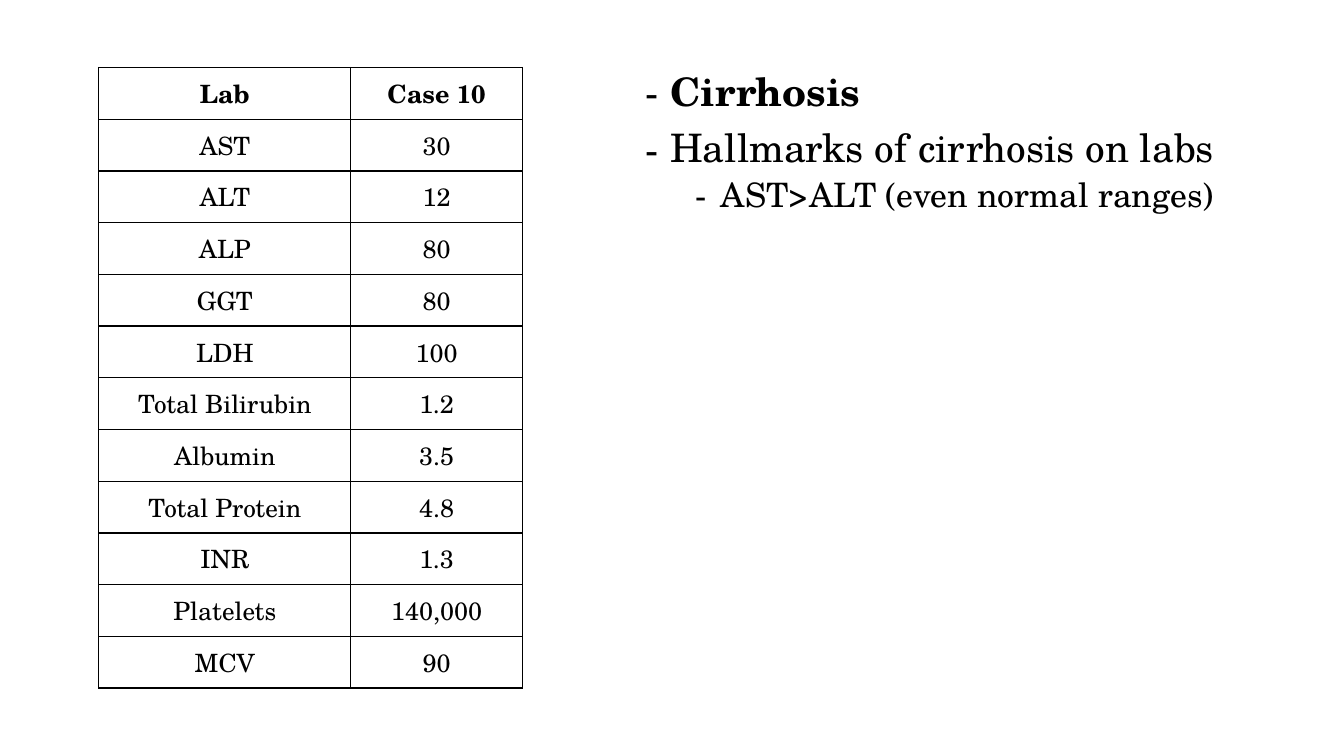
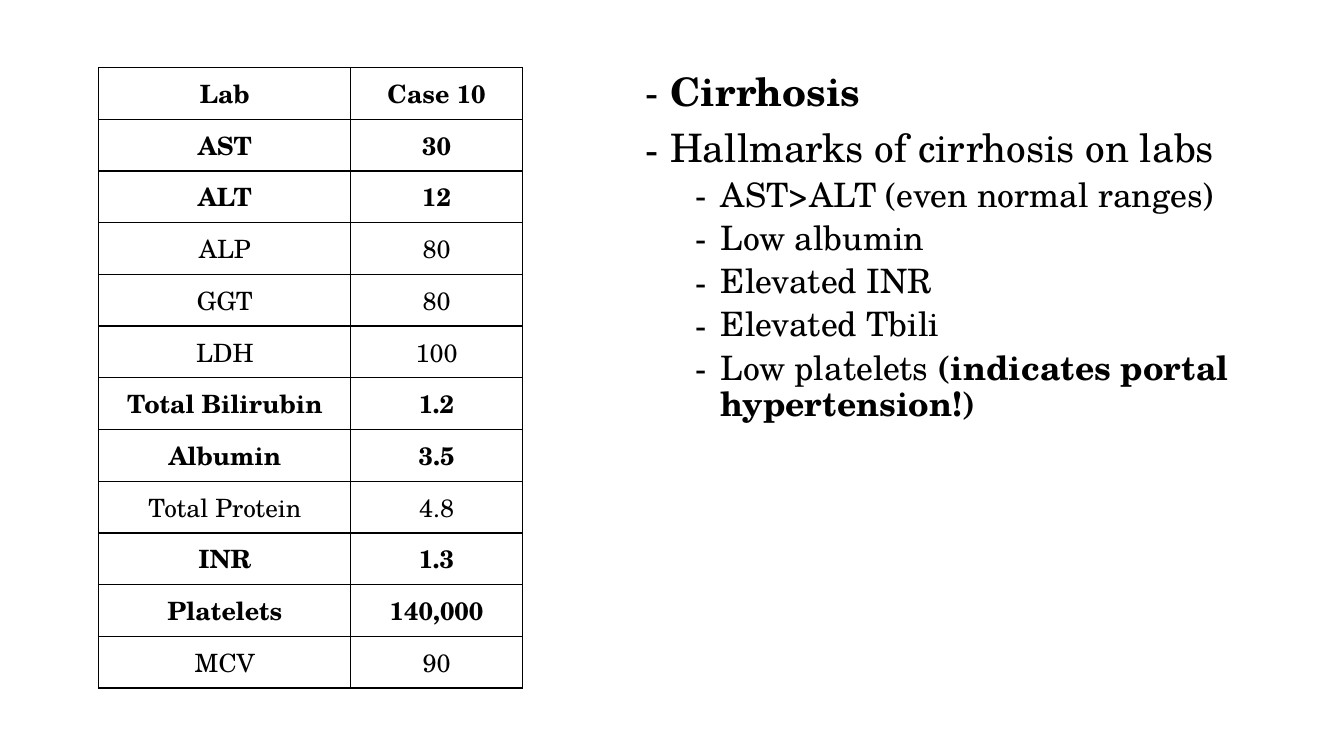
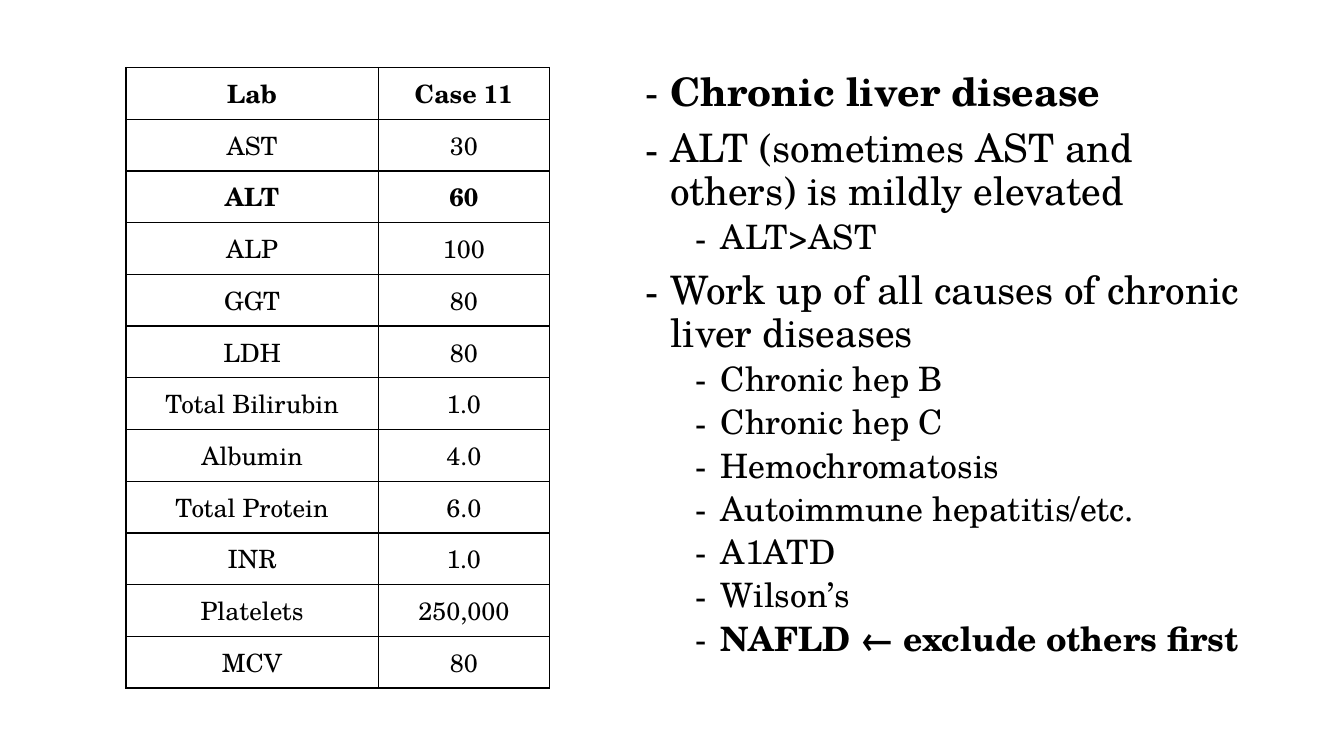
"""Build three liver lab case slides, each with a lab table and a list of findings."""
from lxml.etree import SubElement
from pptx import Presentation
from pptx.dml.color import RGBColor
from pptx.enum.text import MSO_ANCHOR, PP_ALIGN
from pptx.oxml.ns import qn
from pptx.util import Pt

PX = 9144
FONT = "TeX Gyre Schola"
COLORS = {"text": "000000", "border": "000000"}
TOP, HEIGHT = 67, 616
COLUMNS = [250, 170]
LABS = ["AST", "ALT", "ALP", "GGT", "LDH", "Total Bilirubin", "Albumin",
        "Total Protein", "INR", "Platelets", "MCV"]
LEVELS = [
    {"size": 28, "margin": 25, "space": 10},
    {"size": 24, "margin": 75, "space": 5},
]
CASE_10 = ["30", "12", "80", "80", "100", "1.2", "3.5", "4.8", "1.3", "140,000", "90"]
CASE_11 = ["30", "60", "100", "80", "80", "1.0", "4.0", "6.0", "1.0", "250,000", "80"]
CIRRHOSIS = [
    (0, [("Cirrhosis", True)]),
    (0, [("Hallmarks of cirrhosis on labs", False)]),
    (1, [("AST>ALT (even normal ranges)", False)]),
]
SLIDES = [
    {"case": "Case 10", "left": 98, "values": CASE_10, "bold": [], "findings": CIRRHOSIS},
    {
        "case": "Case 10", "left": 98, "values": CASE_10,
        "bold": ["AST", "ALT", "Total Bilirubin", "Albumin", "INR", "Platelets"],
        "findings": CIRRHOSIS + [
            (1, [("Low albumin", False)]),
            (1, [("Elevated INR", False)]),
            (1, [("Elevated Tbili", False)]),
            (1, [("Low platelets ", False), ("(indicates portal hypertension!)", True)]),
        ],
    },
    {
        "case": "Case 11", "left": 125, "values": CASE_11, "bold": ["ALT"],
        "findings": [
            (0, [("Chronic liver disease", True)]),
            (0, [("ALT (sometimes AST and others) is mildly elevated", False)]),
            (1, [("ALT>AST", False)]),
            (0, [("Work up of all causes of chronic liver diseases", False)]),
            (1, [("Chronic hep B", False)]),
            (1, [("Chronic hep C", False)]),
            (1, [("Hemochromatosis", False)]),
            (1, [("Autoimmune hepatitis/etc.", False)]),
            (1, [("A1ATD", False)]),
            (1, [("Wilson’s", False)]),
            (1, [("NAFLD ← exclude others first", True)]),
        ],
    },
]


def add_span(para, text, size, bold):
    """Add one formatted run to a paragraph."""
    span = para.add_run()
    span.text = text
    for name, value in {"name": FONT, "size": Pt(size), "bold": bold}.items():
        setattr(span.font, name, value)
    span.font.color.rgb = RGBColor.from_string(COLORS["text"])


def add_borders(cell):
    """Draw a one-point line on each side of a table cell."""
    properties = cell._tc.get_or_add_tcPr()
    for side in ("a:lnL", "a:lnR", "a:lnT", "a:lnB"):
        line = SubElement(properties, qn(side), w=str(Pt(1)))
        fill = SubElement(line, qn("a:solidFill"))
        SubElement(fill, qn("a:srgbClr"), val=COLORS["border"])


deck = Presentation()
deck.slide_width, deck.slide_height = 1333 * PX, 750 * PX

for content in SLIDES:
    page = deck.slides.add_slide(deck.slide_layouts[6])

    rows = [("Lab", content["case"]), *zip(LABS, content["values"])]
    table = page.shapes.add_table(
        len(rows), len(COLUMNS), content["left"] * PX, TOP * PX,
        sum(COLUMNS) * PX, HEIGHT * PX).table
    table.first_row = table.horz_banding = False
    for column, width in zip(table.columns, COLUMNS):
        column.width = width * PX
    for row_index, row in enumerate(rows):
        bold = row_index == 0 or row[0] in content["bold"]
        for column_index, text in enumerate(row):
            cell = table.cell(row_index, column_index)
            add_borders(cell)
            cell.fill.background()
            cell.vertical_anchor = MSO_ANCHOR.MIDDLE
            para = cell.text_frame.paragraphs[0]
            para.alignment = PP_ALIGN.CENTER
            add_span(para, text, 18, bold)

    box = page.shapes.add_textbox(630 * PX, TOP * PX, 611 * PX, HEIGHT * PX)
    frame = box.text_frame
    frame.word_wrap = True
    for index, (level, spans) in enumerate(content["findings"]):
        style = LEVELS[level]
        para = frame.add_paragraph() if index else frame.paragraphs[0]
        properties = para._p.get_or_add_pPr()
        properties.set("marL", str(style["margin"] * PX))
        properties.set("indent", str(-25 * PX))
        SubElement(properties, qn("a:buFont"), typeface=FONT)
        SubElement(properties, qn("a:buChar"), char="-")
        spacing = {"level": level, "line_spacing": 0.9,
                   "space_before": Pt(style["space"] if index else 0)}
        for name, value in spacing.items():
            setattr(para, name, value)
        for text, bold in spans:
            add_span(para, text, style["size"], bold)

deck.save("out.pptx")
